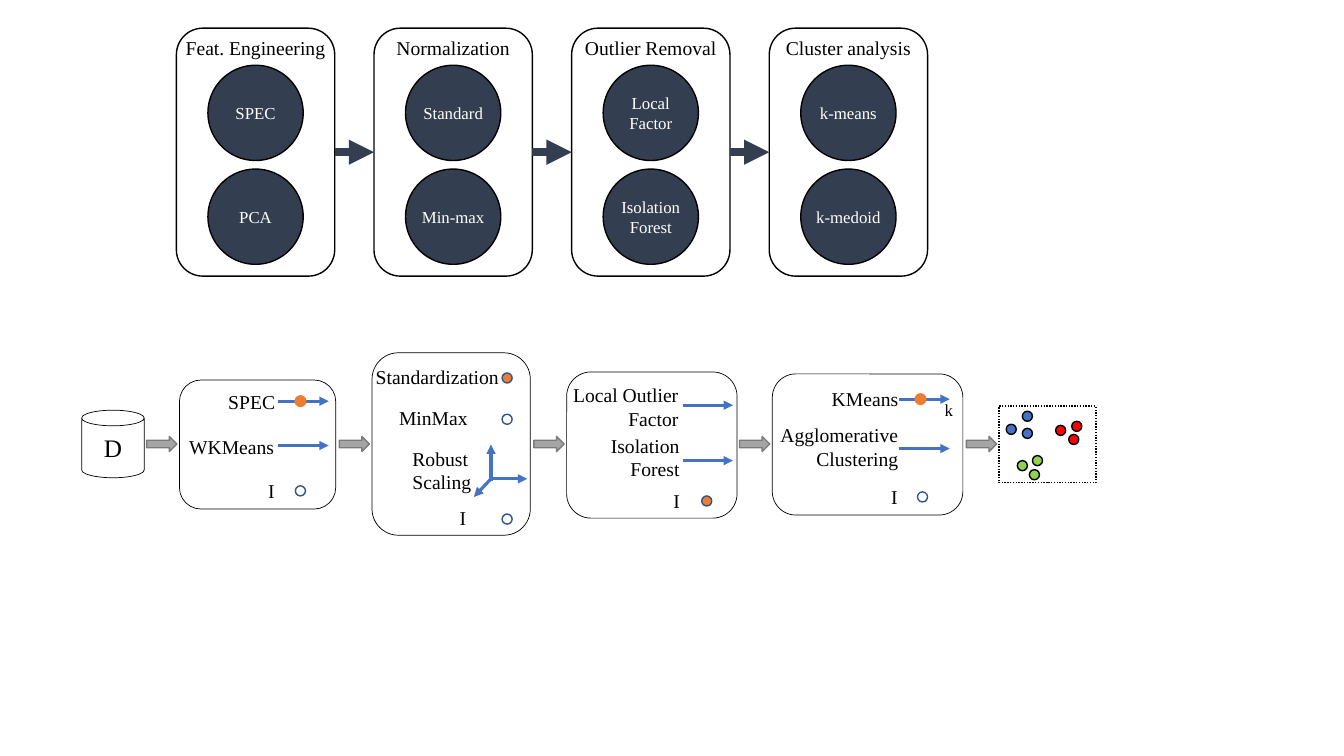
from lxml.etree import SubElement
from pptx import Presentation
from pptx.dml.color import RGBColor
from pptx.enum.dml import MSO_LINE_DASH_STYLE as DASH
from pptx.enum.shapes import MSO_CONNECTOR, MSO_SHAPE as SHAPE
from pptx.enum.text import MSO_ANCHOR as ANCHOR, MSO_AUTO_SIZE as AUTO, PP_ALIGN as ALIGN
from pptx.oxml.ns import qn
from pptx.util import Inches, Pt

BLACK = RGBColor(0x00, 0x00, 0x00)
WHITE = RGBColor(0xFF, 0xFF, 0xFF)
NAVY = RGBColor(0x33, 0x3F, 0x50)
BLUE = RGBColor(0x44, 0x72, 0xC4)
RING_BLUE = RGBColor(0x32, 0x54, 0x91)
ORANGE = RGBColor(0xED, 0x7D, 0x31)
GREY = RGBColor(0xA5, 0xA5, 0xA5)
DARK_GREY = RGBColor(0x7A, 0x7A, 0x7A)
RED = RGBColor(0xFF, 0x00, 0x00)
GREEN = RGBColor(0x92, 0xD0, 0x50)

SLIDE_W, SLIDE_H = Inches(13.33), Inches(7.5)
CELL = SLIDE_H / 75
FONT = "Times New Roman"

PANELS = [
    ("Feat. Engineering", ("SPEC", "PCA")),
    ("Normalization", ("Standard", "Min-max")),
    ("Outlier Removal", ("Local\nFactor", "Isolation\nForest")),
    ("Cluster analysis", ("k-means", "k-medoid")),
]

# Labels are (text, right, top, width); dots are (centre x, centre y, size, fill, line).
STAGES = [
    {
        "box": (17.8, 37.7, 15.5, 12.8),
        "labels": [("SPEC", 9.5, 1, 4.7), ("WKMeans", 9.4, 5.4, 8.5), ("I", 9.4, 9.8, 0.6)],
        "arrows": [(9.8, 2.1, 14.8, 2.1), (9.8, 6.5, 14.8, 6.5)],
        "dots": [(12, 2.1, 1.2, ORANGE, None), (12, 11, 1, None, RING_BLUE)],
    },
    {
        "box": (36.9, 35, 15.7, 18.1),
        "labels": [("Standardization", 12.6, 1.2, 12.3), ("MinMax", 9.5, 5.3, 6.9),
                   ("Robust\nScaling", 9.9, 9.3, 5.9, ALIGN.LEFT), ("I", 9.3, 15.2, 0.6)],
        "arrows": [(11.7, 12.5, 15.4, 12.5), (11.8, 12.7, 11.8, 9.1), (11.8, 12.5, 10.1, 14.3)],
        "dots": [(13.4, 2.5, 1, ORANGE, RING_BLUE), (13.4, 6.6, 1, None, RING_BLUE),
                 (13.4, 16.5, 1, None, RING_BLUE)],
    },
    {
        "box": (56.2, 36.9, 16.9, 14.5),
        "labels": [("Local Outlier\nFactor", 11.1, 1.1, 10.6), ("Isolation\nForest", 11.2, 6.1, 6.9),
                   ("I", 11.2, 11.6, 0.6)],
        "arrows": [(11.5, 3.3, 16.5, 3.3), (11.5, 8.8, 16.5, 8.8)],
        "dots": [(13.9, 12.8, 1, ORANGE, RING_BLUE)],
    },
    {
        "box": (76.6, 37.1, 18.9, 14),
        "labels": [("KMeans", 12.5, 1.3, 6.7), ("Agglomerative\nClustering", 12.5, 4.9, 11.8),
                   ("I", 12.4, 11, 0.6), ("k", 17.9, 2.6, 0.8, ALIGN.LEFT, 12)],
        "arrows": [(12.6, 2.5, 17.6, 2.5), (12.6, 7.4, 17.6, 7.4)],
        "dots": [(14.7, 2.5, 1.2, ORANGE, None), (14.9, 12.2, 1, None, RING_BLUE)],
    },
]
RESULT_BOX = (99.1, 40.3, 9.6, 7.6)
CLUSTERS = {
    BLUE: [(1.2, 2.3), (2.8, 2.7), (2.8, 1)],
    RED: [(7.7, 2), (6.1, 2.4), (7.4, 3.3)],
    GREEN: [(2.3, 5.9), (3.8, 5.4), (3.5, 6.8)],
}


def grid(*cells):
    """Turn grid cells into slide lengths."""
    return [round(n * CELL) for n in cells]


def set_text(s, text, size, color, align, **frame):
    """Write text into a shape with the slide font and no margins."""
    tf = s.text_frame
    tf.text = text
    margins = dict.fromkeys(("margin_left", "margin_top", "margin_right", "margin_bottom"), 0)
    for name, value in {**margins, **frame}.items():
        setattr(tf, name, value)
    for p in tf.paragraphs:
        p.alignment = align
        for name, value in {"name": FONT, "size": Pt(size)}.items():
            setattr(p.font, name, value)
        p.font.color.rgb = color


def add_outline(slide, kind, box, fill=None, line=BLACK, width=1):
    """Add a preset shape with an optional fill and line."""
    s = slide.shapes.add_shape(kind, *grid(*box))
    s.shadow.inherit = False
    for part, color in ((s.fill, fill), (s.line.fill, line)):
        if color is None:
            part.background()
        else:
            part.solid()
            part.fore_color.rgb = color
    if line is not None:
        s.line.width = Pt(width)
    return s


def add_dot(slide, x, y, size, fill, line):
    """Add a small circle around a centre point."""
    return add_outline(slide, SHAPE.OVAL, (x - size / 2, y - size / 2, size, size), fill, line)


def add_arrow(slide, ends, color, width):
    """Add a straight arrow with a triangular head."""
    s = slide.shapes.add_connector(MSO_CONNECTOR.STRAIGHT, *grid(*ends))
    s.line.color.rgb = color
    s.line.width = Pt(width)
    SubElement(s.line._get_or_add_ln(), qn("a:tailEnd"), type="triangle")
    SubElement(s._element.spPr, qn("a:effectLst"))
    return s


def add_label(slide, x, y, text, right, top, width, align=ALIGN.RIGHT, size=14):
    """Add a label placed from the corner of its stage."""
    height = size * 0.17 * len(text.split("\n"))
    s = slide.shapes.add_textbox(*grid(x + right - width, y + top, width, height))
    set_text(s, text, size, BLACK, align, word_wrap=False, auto_size=AUTO.SHAPE_TO_FIT_TEXT)


def add_panel(slide, box, title, methods):
    """Draw a titled panel with two method circles."""
    x, y, w, h = box
    panel = add_outline(slide, SHAPE.ROUNDED_RECTANGLE, box, WHITE)
    set_text(panel, title, 14, BLACK, ALIGN.CENTER, vertical_anchor=ANCHOR.TOP)
    for i, method in enumerate(methods):
        s = add_dot(slide, x + w / 2, y + 8.4 + 10.3 * i, 9.45, NAVY, BLACK)
        set_text(s, method, 12, WHITE, ALIGN.CENTER, vertical_anchor=ANCHOR.MIDDLE)
    return panel


def add_panel_row(slide, x, y, pitch, w, h):
    """Draw the row of panels joined by thick arrows."""
    panels = [add_panel(slide, (x + pitch * i, y, w, h), *panel) for i, panel in enumerate(PANELS)]
    for left, right in zip(panels, panels[1:]):
        s = add_arrow(slide, (0, 0, 0, 0), NAVY, 6)
        s.begin_connect(left, 3)
        s.end_connect(right, 1)


def add_stage(slide, box, labels, arrows, dots):
    """Draw one pipeline stage with its options and markers."""
    x, y = box[:2]
    add_outline(slide, SHAPE.ROUNDED_RECTANGLE, box, width=0.5)
    for label in labels:
        add_label(slide, x, y, *label)
    for x1, y1, x2, y2 in arrows:
        add_arrow(slide, (x + x1, y + y1, x + x2, y + y2), BLUE, 2.25)
    for dx, dy, *style in dots:
        add_dot(slide, x + dx, y + dy, *style)


def add_result(slide, box):
    """Draw the dotted frame with the clustered points."""
    x, y = box[:2]
    frame = add_outline(slide, SHAPE.RECTANGLE, box)
    frame.line.dash_style = DASH.ROUND_DOT
    for color, points in CLUSTERS.items():
        for dx, dy in points:
            add_dot(slide, x + dx, y + dy, 1, color, BLACK)


def add_pipeline(slide):
    """Draw the data store, the stages, the result and the block arrows."""
    disk = add_outline(slide, SHAPE.CAN, (8.1, 40.7, 6.2, 6.7), WHITE, width=0.5)
    disk = disk if disk.auto_shape_type == SHAPE.FLOWCHART_MAGNETIC_DISK else disk
    set_text(disk, "D", 18, BLACK, ALIGN.CENTER, vertical_anchor=ANCHOR.MIDDLE)
    for stage in STAGES:
        add_stage(slide, **stage)
    add_result(slide, RESULT_BOX)
    for x, *_ in [stage["box"] for stage in STAGES] + [RESULT_BOX]:
        add_outline(slide, SHAPE.RIGHT_ARROW, (x - 3.25, 43.3, 3, 1.5), GREY, DARK_GREY)


def main():
    """Build and save the slide."""
    prs = Presentation()
    prs.slide_width, prs.slide_height = SLIDE_W, SLIDE_H
    slide = prs.slides.add_slide(prs.slide_layouts[6])
    add_panel_row(slide, 17.5, 2.8, 19.6, 15.7, 24.6)
    add_pipeline(slide)
    prs.save("out.pptx")


if __name__ == "__main__":
    main()
